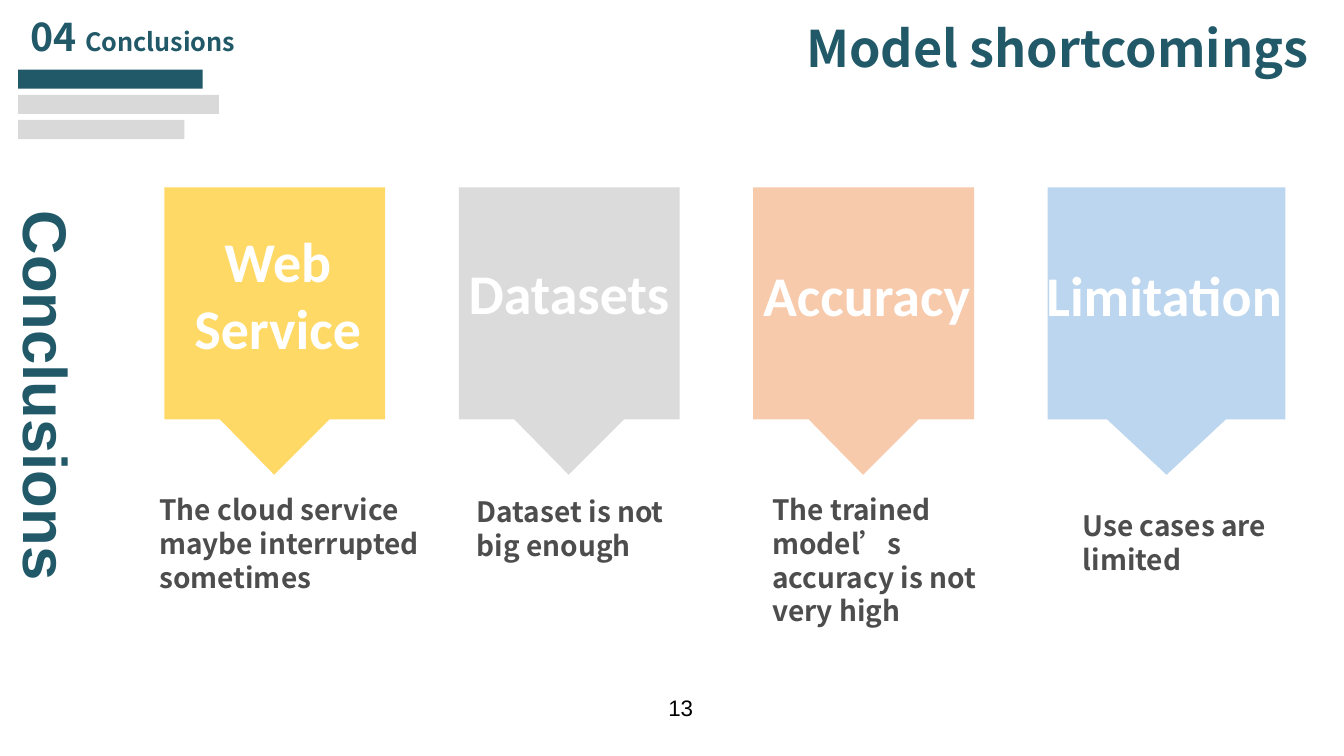
from pptx import Presentation
from pptx import util as u
from pptx.dml.color import RGBColor
from pptx.enum import shapes, text
from pptx.oxml.ns import qn

PX = 9144  # 100 px to the inch

TEAL = RGBColor(0x21, 0x59, 0x68)
BAR_GRAY = RGBColor(0xD9, 0xD9, 0xD9)
CAPTION_GRAY = RGBColor(0x4D, 0x4D, 0x4D)
WHITE = RGBColor(0xFF, 0xFF, 0xFF)
BLACK = RGBColor(0, 0, 0)
YELLOW = RGBColor(0xFF, 0xD9, 0x66)
GRAY = RGBColor(0xDB, 0xDB, 0xDB)
PEACH = RGBColor(0xF7, 0xCA, 0xAC)
BLUE = RGBColor(0xBB, 0xD6, 0xEE)

HEADING_FONT = "Noto Sans CJK SC"
CARD_FONT = "Calibri"
PLAIN_FONT = "Arial"


def write(shape, paragraphs, font=HEADING_FONT, size=20, color=CAPTION_GRAY, bold=True,
          align=text.PP_ALIGN.LEFT, anchor=text.MSO_ANCHOR.TOP, line=None):
    """Fill a shape; each paragraph is a string or a list of (string, size)."""
    frame = shape.text_frame
    frame.word_wrap = True
    frame.auto_size = text.MSO_AUTO_SIZE.NONE
    frame.vertical_anchor = anchor
    for index, content in enumerate(paragraphs):
        paragraph = frame.add_paragraph() if index else frame.paragraphs[0]
        paragraph.alignment = align
        if line:
            paragraph.line_spacing = u.Pt(line)
        pieces = [(content, size)] if isinstance(content, str) else content
        for words, points in pieces:
            run = paragraph.add_run()
            run.text = words
            run.font.name = font
            run.font.size = u.Pt(points)
            run.font.bold = bold
            run.font.color.rgb = color
            east_asian = run.font._element.makeelement(qn("a:ea"), {"typeface": font})
            run.font._element.find(qn("a:latin")).addnext(east_asian)


class Deck:
    def __init__(self, width, height):
        self.presentation = Presentation()
        self.presentation.slide_width = width * PX
        self.presentation.slide_height = height * PX
        self.slide = self.presentation.slides.add_slide(self.presentation.slide_layouts[5])

    def title(self, words, left, top, width, height, **style):
        title = self.slide.shapes.title
        title.left, title.top, title.width, title.height = (
            n * PX for n in (left, top, width, height))
        write(title, [words], **style)

    def label(self, paragraphs, left, top, width, height, parent=None, rotation=0, **style):
        box = (parent or self.slide).shapes.add_textbox(
            left * PX, top * PX, width * PX, height * PX)
        box.rotation = rotation
        write(box, paragraphs, **style)

    def paint(self, shape, color):
        shape.shadow.inherit = False
        shape.fill.solid()
        shape.fill.fore_color.rgb = color
        shape.line.fill.background()

    def bar(self, left, top, width, height, color):
        shape = self.slide.shapes.add_shape(
            shapes.MSO_SHAPE.RECTANGLE, left * PX, top * PX, width * PX, height * PX)
        self.paint(shape, color)

    def callout(self, parent, left, top, width, body, tip, color):
        """Rectangle with a triangle pointing down, half as wide."""
        bottom = top + body
        builder = parent.shapes.build_freeform(left, top, scale=PX)
        builder.add_line_segments([
            (left + width, top), (left + width, bottom),
            (left + width * 3 / 4, bottom), (left + width / 2, bottom + tip),
            (left + width / 4, bottom), (left, bottom)])
        self.paint(builder.convert_to_shape(), color)

    def card(self, left, width, color, heading, heading_box, caption, caption_box, align):
        group = self.slide.shapes.add_group_shape()
        self.callout(group, left, 186, width, 230, 55, color)
        self.label(caption, *caption_box, parent=group, line=24)
        self.label(heading, *heading_box, parent=group, font=CARD_FONT, size=40,
                   color=WHITE, align=align)


def main():
    deck = Deck(1333, 750)

    # Section header with its three bars
    deck.label([[("04 ", 28), ("Conclusions", 18)]], 20, 12, 397, 52, color=TEAL, line=30)
    for row, (width, color) in enumerate([(183, TEAL), (199, BAR_GRAY), (165, BAR_GRAY)]):
        deck.bar(18, 69 + 25 * row, width, 19, color)

    # Title and vertical section name
    deck.title("Model shortcomings", 503, 11, 805, 71, size=36, color=TEAL, line=43,
               align=text.PP_ALIGN.RIGHT, anchor=text.MSO_ANCHOR.BOTTOM)
    deck.label(["Conclusions"], -157, 361, 408, 84, rotation=90,
               font=PLAIN_FONT, size=44, color=TEAL)

    # Cards: width, colour, heading and its box, caption and its box, alignment
    left_align, center = text.PP_ALIGN.LEFT, text.PP_ALIGN.CENTER
    cards = [
        (219, YELLOW, ["Web", "Service"], (182, 220, 187, 145),
         ["The cloud service", "maybe interrupted sometimes"], (148, 484, 301, 111), center),
        (219, GRAY, ["Datasets"], (455, 252, 220, 77),
         ["Dataset is not big enough"], (463, 486, 250, 77), left_align),
        (219, PEACH, ["Accuracy"], (747, 254, 228, 77),
         ["The trained model’s accuracy is not very high"], (756, 484, 250, 145), left_align),
        (236, BLUE, ["Limitation"], (1028, 254, 257, 77),
         ["Use cases are limited"], (1064, 500, 210, 77), left_align),
    ]
    for column, card in enumerate(cards):
        deck.card(163 + 292 * column, *card)

    # Page number
    deck.label(["13"], 653, 684, 55, 37, font=PLAIN_FONT, size=16, color=BLACK, bold=False)

    deck.presentation.save("out.pptx")


if __name__ == "__main__":
    main()
